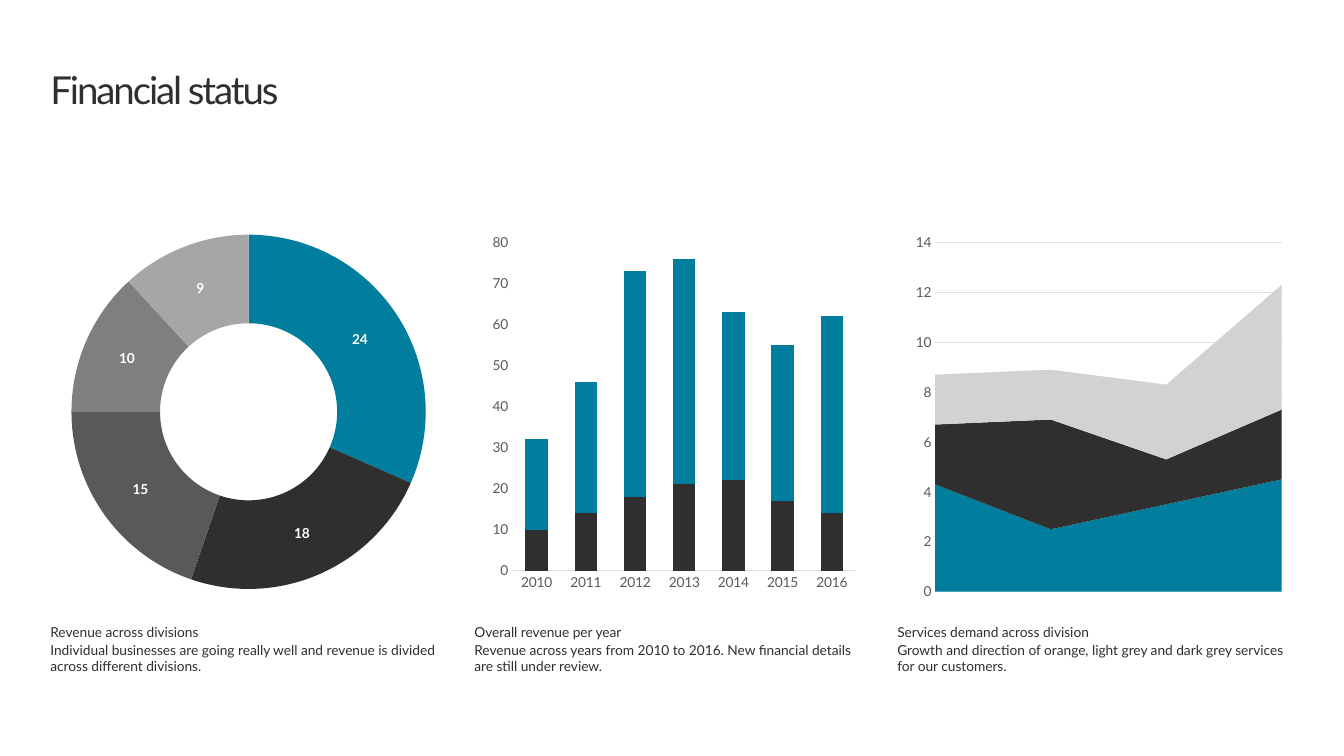
from lxml import etree
from pptx import Presentation
from pptx import util as u
from pptx.chart import data as cd
from pptx.dml.color import RGBColor
from pptx.enum import chart as ch, text as tx
from pptx.oxml import ns

HEX = {
    "teal": "017E9D", "dark": "2F2F2F", "slate": "595959", "grey": "7F7F7F",
    "ash": "A6A6A6", "light": "D2D2D2", "rule": "E0E0E0", "white": "FFFFFF",
}
FONT = "Lato"
TOP, HIGH = 2.21, 3.94


def paint(fill, name):
    """Give a fill a solid named colour."""
    fill.solid()
    fill.fore_color.rgb = RGBColor.from_string(HEX[name])


def style(font, name, size=10, bold=False):
    """Set face, size, weight and colour of a font."""
    font.name, font.size, font.bold = FONT, u.Pt(size), bold
    font.color.rgb = RGBColor.from_string(HEX[name])


def rule(line):
    """Draw a thin pale line."""
    line.width = u.Pt(0.75)
    line.color.rgb = RGBColor.from_string(HEX["rule"])


def write(frame, words, size, lead):
    """Fill a text frame without margins and return its run."""
    frame.margin_left = frame.margin_right = 0
    frame.margin_top = frame.margin_bottom = 0
    frame.word_wrap = True
    frame.auto_size = tx.MSO_AUTO_SIZE.NONE
    frame.vertical_anchor = tx.MSO_ANCHOR.TOP
    frame.text = words
    para = frame.paragraphs[0]
    para.alignment = tx.PP_ALIGN.LEFT
    para.line_spacing = u.Pt(lead)
    run = para.runs[0]
    style(run.font, "dark", size)
    return run


def heading(slide, words, left, top, wide, high):
    """Place the slide title in its box."""
    title = slide.shapes.title
    title.left, title.top = u.Inches(left), u.Inches(top)
    title.width, title.height = u.Inches(wide), u.Inches(high)
    run = write(title.text_frame, words, 28, 32)
    run.font._element.set("spc", "-150")


def caption(slide, head, body, left, top, wide):
    """Place a heading line and the two lines below it."""
    for words, down, high in ((head, 0, 0.17), (body, 0.18, 0.34)):
        box = slide.shapes.add_textbox(
            u.Inches(left), u.Inches(top + down), u.Inches(wide), u.Inches(high))
        write(box.text_frame, words, 10, 12)


def fix_plot(chart, area):
    """Pin the inner plot area to fractions of the chart."""
    plot = chart.element.find(".//" + ns.qn("c:plotArea"))
    for old in plot.findall(ns.qn("c:layout")):
        plot.remove(old)
    layout = etree.Element(ns.qn("c:layout"))
    plot.insert(0, layout)
    manual = etree.SubElement(layout, ns.qn("c:manualLayout"))
    marks = [("layoutTarget", "inner"), ("xMode", "edge"), ("yMode", "edge")]
    for tag, val in marks + list(zip("xywh", area)):
        etree.SubElement(manual, ns.qn("c:" + tag)).set("val", str(val))


def add_chart(slide, kind, left, wide, cats, rows, area):
    """Add a chart with its base font and fixed plot area."""
    data = cd.CategoryChartData()
    data.categories = cats
    for num, vals in enumerate(rows, 1):
        data.add_series(f"Series {num}", vals)
    chart = slide.shapes.add_chart(
        kind, u.Inches(left), u.Inches(TOP), u.Inches(wide), u.Inches(HIGH), data).chart
    chart.has_legend = chart.has_title = False
    style(chart.font, "dark")
    fix_plot(chart, area)
    return chart


def scale(chart, top, step, names):
    """Format the value axis and colour the series."""
    axis = chart.value_axis
    axis.minimum_scale, axis.maximum_scale, axis.major_unit = 0, top, step
    axis.major_tick_mark = axis.minor_tick_mark = ch.XL_TICK_MARK.NONE
    axis.format.line.fill.background()
    style(axis.tick_labels.font, "slate")
    chart.plots[0].vary_by_categories = False
    for row, name in zip(chart.plots[0].series, names):
        paint(row.format.fill, name)


def ring(slide, left, wide):
    """Draw revenue by division as a doughnut."""
    chart = add_chart(
        slide, ch.XL_CHART_TYPE.DOUGHNUT, left, wide, list("12345"),
        [(24, 18, 15, 10, 9)], (0.052, 0.042, 0.889, 0.91))
    plot = chart.plots[0]
    plot.vary_by_categories = True
    for num, name in enumerate(("teal", "dark", "slate", "grey", "ash")):
        look = plot.series[0].points[num].format
        paint(look.fill, name)
        look.line.fill.background()
    plot.has_data_labels = True
    labels = plot.data_labels
    labels.show_value, labels.show_percentage = True, False
    style(labels.font, "white", bold=True)


def bars(slide, left, wide):
    """Draw yearly revenue as stacked columns."""
    chart = add_chart(
        slide, ch.XL_CHART_TYPE.COLUMN_STACKED, left, wide,
        [str(year) for year in range(2010, 2017)],
        [(10, 14, 18, 21, 22, 17, 14), (22, 32, 55, 55, 41, 38, 48)],
        (0.095, 0.062, 0.867, 0.843))
    scale(chart, 80, 10, ("dark", "teal"))
    chart.value_axis.has_major_gridlines = False
    chart.plots[0].gap_width, chart.plots[0].overlap = 119, 100
    axis = chart.category_axis
    axis.major_tick_mark = axis.minor_tick_mark = ch.XL_TICK_MARK.NONE
    rule(axis.format.line)
    style(axis.tick_labels.font, "slate")


def areas(slide, left, wide):
    """Draw demand for services as stacked areas."""
    chart = add_chart(
        slide, ch.XL_CHART_TYPE.AREA_STACKED, left, wide, list("1234"),
        [(4.3, 2.5, 3.5, 4.5), (2.4, 4.4, 1.8, 2.8), (2, 2, 3, 5)],
        (0.095, 0.062, 0.868, 0.897))
    scale(chart, 14, 2, ("teal", "dark", "light"))
    chart.value_axis.has_major_gridlines = True
    rule(chart.value_axis.major_gridlines.format.line)
    chart.category_axis.visible = False
    chart.element.find(".//" + ns.qn("c:crossBetween")).set("val", "midCat")


PANELS = (
    (ring, 0.51, 4.04, "Revenue across divisions",
     "Individual businesses are going really well and revenue is divided "
     "across different divisions."),
    (bars, 4.8, 4.02, "Overall revenue per year",
     "Revenue across years from 2010 to 2016. New financial details "
     "are still under review."),
    (areas, 9.08, 4.04, "Services demand across division",
     "Growth and direction of orange, light grey and dark grey services "
     "for our customers."),
)


def main():
    """Build and save the slide."""
    deck = Presentation()
    deck.slide_width, deck.slide_height = u.Inches(13.6), u.Inches(7.65)
    slide = deck.slides.add_slide(deck.slide_layouts[5])
    paint(slide.background.fill, "white")
    heading(slide, "Financial status", 0.51, 0.69, 12.61, 0.45)
    for draw, left, wide, head, body in PANELS:
        draw(slide, left, wide)
        caption(slide, head, body, left, TOP + HIGH + 0.16, wide)
    deck.save("out.pptx")


if __name__ == "__main__":
    main()
